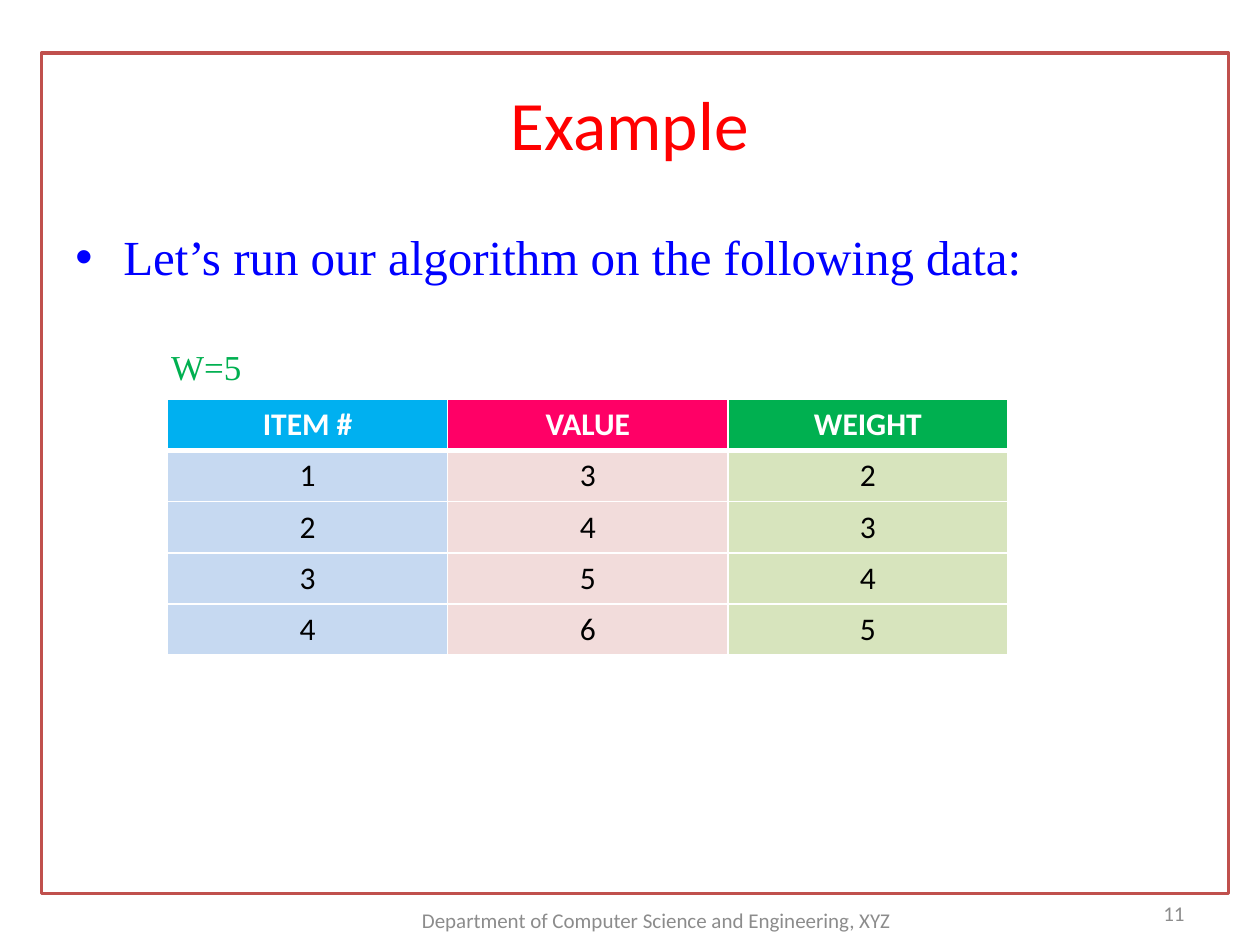
"""Build a slide listing the item values and weights of a knapsack example."""
from dataclasses import dataclass

from lxml import etree
from pptx import Presentation
from pptx.dml.color import RGBColor
from pptx.enum.shapes import MSO_SHAPE
from pptx.enum.text import MSO_ANCHOR, PP_ALIGN
from pptx.oxml.ns import qn
from pptx.util import Inches, Pt

CENTER, LEFT, RIGHT = PP_ALIGN.CENTER, PP_ALIGN.LEFT, PP_ALIGN.RIGHT
TOP, MIDDLE = MSO_ANCHOR.TOP, MSO_ANCHOR.MIDDLE


@dataclass(frozen=True)
class Theme:
    sans: str = "Calibri"
    serif: str = "Times New Roman"
    white: str = "FFFFFF"
    black: str = "000000"
    frame: str = "C0504D"
    title: str = "FF0000"
    lead: str = "0000FF"
    capacity: str = "00B050"
    footer: str = "8C8C8C"
    title_size: float = 39.6
    lead_size: int = 28
    capacity_size: int = 20
    table_size: int = 18
    footer_size: int = 12


THEME = Theme()
TITLE = "Example"
LEAD = "Let’s run our algorithm on the following data:"
CAPACITY = "W=5"
FOOTER = "Department of Computer Science and Engineering, XYZ"
PAGE_NUMBER = "11"
COLUMNS = [
    ("ITEM #", "00B0F0", "C6D9F1", [1, 2, 3, 4]),
    ("VALUE", "FF0066", "F2DCDB", [3, 4, 5, 6]),
    ("WEIGHT", "00B050", "D7E4BD", [2, 3, 4, 5]),
]


def color(value):
    return RGBColor.from_string(value)


def style(para, text, face, size, ink, align=LEFT, bold=False):
    para.text = text
    para.alignment = align
    para.font.name = face
    para.font.size = Pt(size)
    para.font.color.rgb = color(ink)
    para.font.bold = bold


def add_box(page, left, top, width, height, anchor=MIDDLE):
    box = page.shapes.add_textbox(Inches(left), Inches(top), Inches(width), Inches(height))
    frame = box.text_frame
    frame.word_wrap = True
    frame.vertical_anchor = anchor
    return frame


def indent(para, margin, first=0.0, bullet=None):
    props = para._p.get_or_add_pPr()
    props.set("marL", str(Inches(margin)))
    props.set("indent", str(Inches(first)))
    if bullet:
        etree.SubElement(props, qn("a:buFont")).set("typeface", "Arial")
        etree.SubElement(props, qn("a:buChar")).set("char", bullet)


def add_borders(cell, row):
    widths = {"L": 1, "R": 1, "T": 3 if row == 1 else 1, "B": 3 if row == 0 else 1}
    props = cell._tc.get_or_add_tcPr()
    for side, width in widths.items():
        line = etree.SubElement(props, qn(f"a:ln{side}"), w=str(Pt(width)))
        fill = etree.SubElement(line, qn("a:solidFill"))
        etree.SubElement(fill, qn("a:srgbClr"), val=THEME.white)


def add_frame(page):
    frame = page.shapes.add_shape(
        MSO_SHAPE.RECTANGLE, Inches(0.33), Inches(0.42), Inches(9.42), Inches(6.67))
    frame.shadow.inherit = False
    frame.fill.solid()
    frame.fill.fore_color.rgb = color(THEME.white)
    frame.line.color.rgb = color(THEME.frame)
    frame.line.width = Pt(2)


def add_body(page):
    body = add_box(page, 0.5, 1.75, 8.25, 4.95, TOP)
    lead = body.paragraphs[0]
    style(lead, LEAD, THEME.serif, THEME.lead_size, THEME.lead)
    lead.space_before = Pt(4)
    indent(lead, 0.38, -0.38, "•")
    capacity = body.add_paragraph()
    style(capacity, CAPACITY, THEME.serif, THEME.capacity_size, THEME.capacity)
    capacity.space_before = Pt(34)
    indent(capacity, 0.76)


def add_item_table(page):
    rows = len(COLUMNS[0][3]) + 1
    table = page.shapes.add_table(
        rows, len(COLUMNS), Inches(1.33), Inches(3.17), Inches(6.67), Inches(2.03)).table
    for col, (heading, head_fill, body_fill, values) in enumerate(COLUMNS):
        for row, value in enumerate([heading, *values]):
            is_head = row == 0
            cell = table.cell(row, col)
            add_borders(cell, row)
            cell.fill.solid()
            cell.fill.fore_color.rgb = color(head_fill if is_head else body_fill)
            style(cell.text_frame.paragraphs[0], str(value), THEME.sans, THEME.table_size,
                  THEME.white if is_head else THEME.black, CENTER, is_head)


def main():
    deck = Presentation()
    deck.slide_width, deck.slide_height = Inches(10), Inches(7.5)
    page = deck.slides.add_slide(deck.slide_layouts[6])
    add_frame(page)
    labels = [
        (TITLE, (0.5, 0.35, 9, 1.25), THEME.title_size, THEME.title, CENTER),
        (FOOTER, (3.17, 7.1, 4.08, 0.4), THEME.footer_size, THEME.footer, CENTER),
        (PAGE_NUMBER, (8.58, 7.05, 0.92, 0.4), THEME.footer_size, THEME.footer, RIGHT),
    ]
    for text, place, size, ink, align in labels:
        box = add_box(page, *place)
        style(box.paragraphs[0], text, THEME.sans, size, ink, align)
    add_body(page)
    add_item_table(page)
    deck.save("out.pptx")


main()
